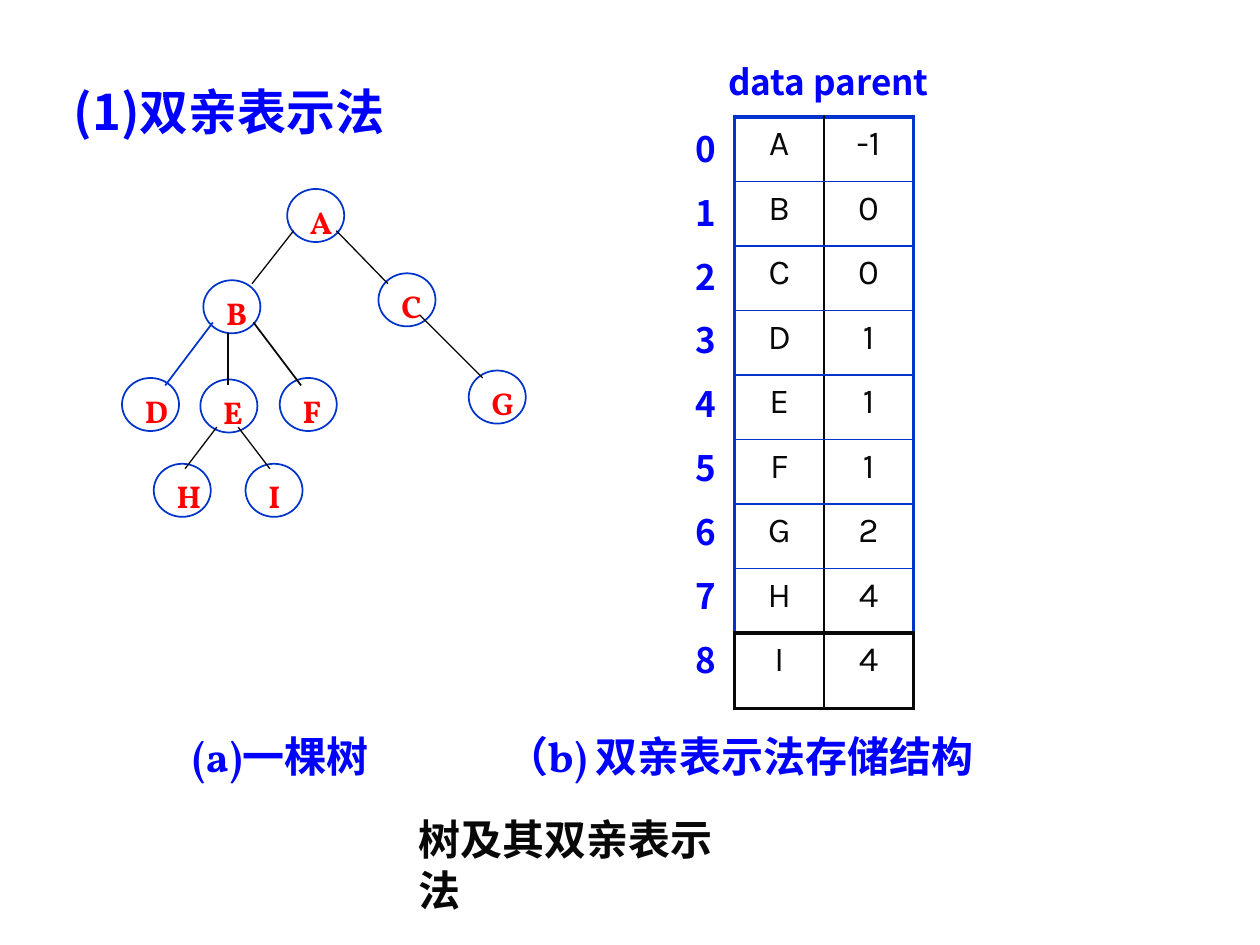
from dataclasses import dataclass

from lxml import etree
from pptx import Presentation
from pptx import util as u
from pptx.dml.color import RGBColor
from pptx.enum import shapes, text
from pptx.oxml import ns


@dataclass(frozen=True)
class Theme:
    ink: str = "080808"
    edge: str = "0033CC"
    blue: str = "0000FF"
    red: str = "FF0000"
    sans: str = "Noto Sans CJK SC"
    serif: str = "Vollkorn"
    cell: str = "Karla"
    title: float = 28
    caption: float = 24
    body: float = 20
    node: float = 18
    thin: float = 0.75
    line: float = 1
    heavy: float = 2.25


T = Theme()


def write(tf, lines, *, font, size, color, bold=False, align=None, before=0):
    """Fill a text frame with one paragraph per line."""
    for i, line in enumerate(lines):
        p = tf.paragraphs[0] if i == 0 else tf.add_paragraph()
        p.alignment = align
        p.space_before = u.Pt(before)
        r = p.add_run()
        r.text = line
        r.font.name = font
        r.font.size = u.Pt(size)
        r.font.bold = bold
        r.font.color.rgb = RGBColor.from_string(color)
        ea = etree.SubElement(r.font._element, ns.qn("a:ea"))
        ea.set("typeface", T.sans)


class Deck:
    def __init__(self, prs):
        self.slide = prs.slides.add_slide(prs.slide_layouts[6])

    def text(self, x, y, w, h, *lines, wrap=False, **fmt):
        sp = self.slide.shapes.add_textbox(u.Cm(x), u.Cm(y), u.Cm(w), u.Cm(h))
        tf = sp.text_frame
        tf.word_wrap = wrap
        tf.auto_size = text.MSO_AUTO_SIZE.SHAPE_TO_FIT_TEXT
        write(tf, lines, **fmt)

    def edge(self, x1, y1, x2, y2, color=T.ink, width=T.thin):
        sp = self.slide.shapes.add_connector(
            shapes.MSO_CONNECTOR.STRAIGHT, u.Cm(x1), u.Cm(y1), u.Cm(x2), u.Cm(y2))
        sp.line.color.rgb = RGBColor.from_string(color)
        sp.line.width = u.Pt(width)
        etree.SubElement(sp._element.spPr, ns.qn("a:effectLst"))

    def node(self, label, x, y):
        sp = self.slide.shapes.add_shape(
            shapes.MSO_SHAPE.OVAL, u.Cm(x), u.Cm(y), u.Cm(1.15), u.Cm(1.07))
        sp.shadow.inherit = False
        sp.fill.background()
        sp.line.color.rgb = RGBColor.from_string(T.edge)
        sp.line.width = u.Pt(T.line)
        self.text(x + 0.21, y + 0.15, 0.98, 1.02, label,
                  font=T.serif, size=T.node, color=T.red, bold=True)

    def borders(self, cell, **sides):
        """Set cell borders; sides are L, R, T, B as (color, width)."""
        tc_pr = cell._tc.get_or_add_tcPr()
        for i, (side, (color, width)) in enumerate(sides.items()):
            ln = etree.Element(ns.qn(f"a:ln{side}"), w=str(u.Pt(width)))
            fill = etree.SubElement(ln, ns.qn("a:solidFill"))
            etree.SubElement(fill, ns.qn("a:srgbClr"), val=color)
            tc_pr.insert(i, ln)

    def table(self, x, y, col_w, heights, rows):
        tbl = self.slide.shapes.add_table(
            len(rows), len(rows[0]), u.Cm(x), u.Cm(y),
            u.Cm(col_w * len(rows[0])), u.Cm(sum(heights))).table
        tbl.first_row = tbl.horz_banding = False
        for col in tbl.columns:
            col.width = u.Cm(col_w)
        last = len(rows) - 1
        blue, black = (T.edge, T.heavy), (T.ink, T.heavy)
        inner, divider = (T.edge, T.line), (T.ink, T.thin)
        for i, row in enumerate(rows):
            tbl.rows[i].height = u.Cm(heights[i])
            frame = black if i == last else blue
            for j, value in enumerate(row):
                cell = tbl.cell(i, j)
                cell.margin_left = cell.margin_right = u.Cm(0.25)
                cell.margin_top = cell.margin_bottom = u.Cm(0.13)
                cell.fill.background()
                write(cell.text_frame, [value], font=T.cell, size=T.body,
                      color=T.ink, align=text.PP_ALIGN.CENTER)
                self.borders(
                    cell,
                    L=frame if j == 0 else divider,
                    R=divider if j == 0 else frame,
                    T=blue if i == 0 else black if i == last else inner,
                    B=black if i >= last - 1 else inner)


def main():
    prs = Presentation()
    prs.slide_width, prs.slide_height = u.Cm(25.4), u.Cm(19.05)
    deck = Deck(prs)

    # Parent table with its heading and row indexes
    parents = {"A": -1, "B": 0, "C": 0, "D": 1, "E": 1,
               "F": 1, "G": 2, "H": 4, "I": 4}
    deck.table(14.81, 2.36, 1.8, [1.3] * 8 + [1.52],
               [(name, str(parent)) for name, parent in parents.items()])
    strong = dict(font=T.sans, size=T.body, color=T.blue, bold=True,
                  before=12.5, wrap=True)
    deck.text(14.43, 1.09, 5.08, 1.12, "data parent", **strong)
    deck.text(13.77, 2.44, 0.84, 11.4, *map(str, range(len(parents))), **strong)

    # Tree nodes
    for label, x, y in [
        ("A", 5.79, 3.81), ("B", 4.1, 5.65), ("C", 7.63, 5.51),
        ("D", 2.46, 7.62), ("E", 4.04, 7.65), ("F", 5.64, 7.62),
        ("G", 9.45, 7.47), ("H", 3.1, 9.35), ("I", 4.95, 9.35),
    ]:
        deck.node(label, x, y)

    # Tree edges, parent to child
    for ends in [
        (5.92, 4.65, 5.08, 5.72), (6.78, 4.65, 7.82, 5.72),
        (4.6, 6.71, 4.6, 7.77), (8.46, 6.35, 9.73, 7.62),
        (4.37, 8.61, 3.73, 9.45), (4.8, 8.61, 5.44, 9.45),
    ]:
        deck.edge(*ends)
    deck.edge(4.29, 6.5, 3.33, 7.77, T.edge, T.line)
    deck.edge(5.11, 6.5, 6.07, 7.77, T.ink, T.line)

    # Title and captions
    deck.text(1.24, 1.52, 7.44, 1.45, "(1)双亲表示法",
              font=T.sans, size=T.title, color=T.blue, bold=True)
    for x, y, w, line, font, color in [
        (3.63, 14.6, 4.42, "(a)一棵树", T.serif, T.blue),
        (9.96, 14.6, 10.46, "（b) 双亲表示法存储结构", T.serif, T.blue),
        (8.18, 16.28, 7.26, "树及其双亲表示法", T.sans, T.ink),
    ]:
        deck.text(x, y, w, 1.27, line, font=font, size=T.caption,
                  color=color, bold=True)

    prs.save("out.pptx")


if __name__ == "__main__":
    main()
